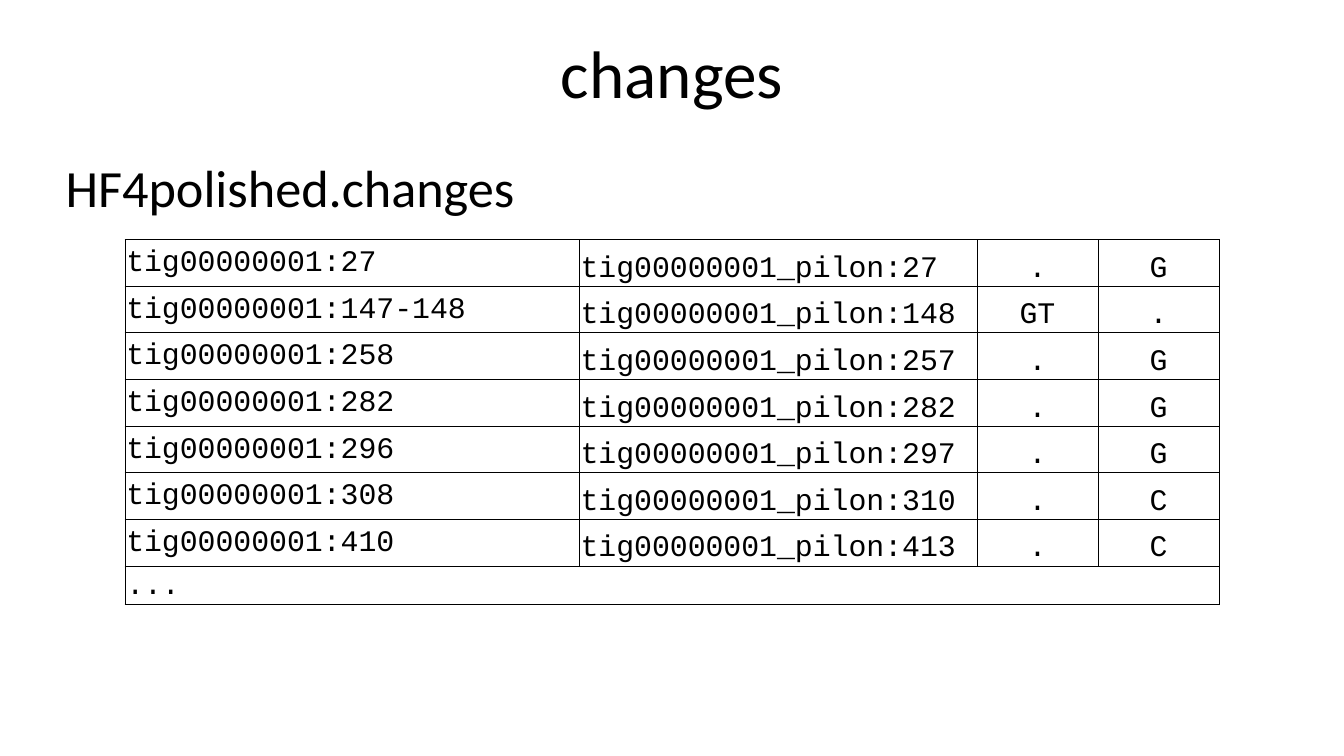
from dataclasses import dataclass

from lxml.etree import SubElement
from pptx import Presentation
from pptx.dml.color import RGBColor
from pptx.enum.text import MSO_ANCHOR as Anchor, PP_ALIGN as Align
from pptx.oxml.ns import qn
from pptx.util import Inches, Pt

BLACK = RGBColor(0, 0, 0)
WHITE = RGBColor(255, 255, 255)
SLIDE_W = Inches(10)
SLIDE_H = SLIDE_W * 9 // 16
BORDER = Pt(0.5)
INSET = Inches(0.01)
CELL_FONT, CELL_SIZE = "Courier New", 16


@dataclass(frozen=True)
class Heading:
    text: str
    left: float  # shares of the slide's width and height
    top: float
    width: float
    height: float
    size: int
    align: Align
    anchor: Anchor


@dataclass(frozen=True)
class Column:
    width: float  # inches
    align: Align
    anchor: Anchor


HEADINGS = [
    Heading("changes", 0.05, 0.02, 0.9, 0.15, 36, Align.CENTER, Anchor.MIDDLE),
    Heading("HF4polished.changes", 0.039, 0.196, 0.9, 0.087, 28,
            Align.LEFT, Anchor.TOP),
]
COLUMNS = [
    Column(3.38, Align.LEFT, Anchor.MIDDLE),
    Column(2.96, Align.LEFT, Anchor.BOTTOM),
    Column(0.9, Align.CENTER, Anchor.BOTTOM),
    Column(0.9, Align.CENTER, Anchor.BOTTOM),
]
# Position before, position after, old base, new base
CHANGES = [
    ("27", "27", ".", "G"),
    ("147-148", "148", "GT", "."),
    ("258", "257", ".", "G"),
    ("282", "282", ".", "G"),
    ("296", "297", ".", "G"),
    ("308", "310", ".", "C"),
    ("410", "413", ".", "C"),
]
CONTIG = "tig00000001"
TABLE_HEIGHT, LAST_ROW_HEIGHT = 2.72, 0.29
ROW_HEIGHT = (TABLE_HEIGHT - LAST_ROW_HEIGHT) / len(CHANGES)


def style_run(run, font: str, size: int) -> None:
    run.font.name, run.font.size = font, Pt(size)
    run.font.color.rgb = BLACK


def draw_heading(slide, heading: Heading) -> None:
    box = slide.shapes.add_textbox(
        int(heading.left * SLIDE_W), int(heading.top * SLIDE_H),
        int(heading.width * SLIDE_W), int(heading.height * SLIDE_H))
    frame = box.text_frame
    frame.word_wrap = True
    frame.vertical_anchor = heading.anchor
    frame.text = heading.text
    line = frame.paragraphs[0]
    line.alignment = heading.align
    style_run(line.runs[0], "Calibri", heading.size)


def draw_borders(cell, sides: str) -> None:
    """Rule the given sides (of L, R, T, B) and leave the others open."""
    properties = cell._tc.get_or_add_tcPr()
    for side in "LRTB":
        edge = SubElement(properties, qn(f"a:ln{side}"), w=str(BORDER))
        if side in sides:
            fill = SubElement(edge, qn("a:solidFill"))
            SubElement(fill, qn("a:srgbClr"), val=str(BLACK))
        else:
            SubElement(edge, qn("a:noFill"))


def fill_cell(cell, text: str, column: Column, sides: str) -> None:
    cell.margin_left = cell.margin_right = cell.margin_top = INSET
    cell.margin_bottom = 0
    cell.vertical_anchor = column.anchor
    cell.text_frame.text = text
    line = cell.text_frame.paragraphs[0]
    line.alignment = column.align
    for run in line.runs:
        style_run(run, CELL_FONT, CELL_SIZE)
    # The end mark keeps empty cells from stretching their row
    SubElement(line._p, qn("a:endParaRPr"), sz=str(CELL_SIZE * 100))
    draw_borders(cell, sides)
    cell.fill.solid()
    cell.fill.fore_color.rgb = WHITE


def draw_changes(slide) -> None:
    rows = [(f"{CONTIG}:{before}", f"{CONTIG}_pilon:{after}", old, new)
            for before, after, old, new in CHANGES]
    rows.append(("...", "", "", ""))
    heights = [ROW_HEIGHT] * len(CHANGES) + [LAST_ROW_HEIGHT]
    table = slide.shapes.add_table(
        len(rows), len(COLUMNS), int(0.093 * SLIDE_W), int(0.317 * SLIDE_H),
        Inches(sum(column.width for column in COLUMNS)),
        Inches(TABLE_HEIGHT)).table
    table.first_row = table.horz_banding = False

    for index, column in enumerate(COLUMNS):
        table.columns[index].width = Inches(column.width)
    last_column = len(COLUMNS) - 1
    for r, (row, height) in enumerate(zip(rows, heights)):
        table.rows[r].height = Inches(height)
        for c, (text, column) in enumerate(zip(row, COLUMNS)):
            # The closing row is ruled only around its outside
            sides = "LRTB" if r < len(CHANGES) else (
                "TB" + "L" * (c == 0) + "R" * (c == last_column))
            fill_cell(table.cell(r, c), text, column, sides)


def main() -> None:
    deck = Presentation()
    deck.slide_width, deck.slide_height = SLIDE_W, SLIDE_H
    slide = deck.slides.add_slide(deck.slide_layouts[6])
    # Title and file name
    for heading in HEADINGS:
        draw_heading(slide, heading)
    # Table of changes
    draw_changes(slide)
    deck.save("out.pptx")


if __name__ == "__main__":
    main()
